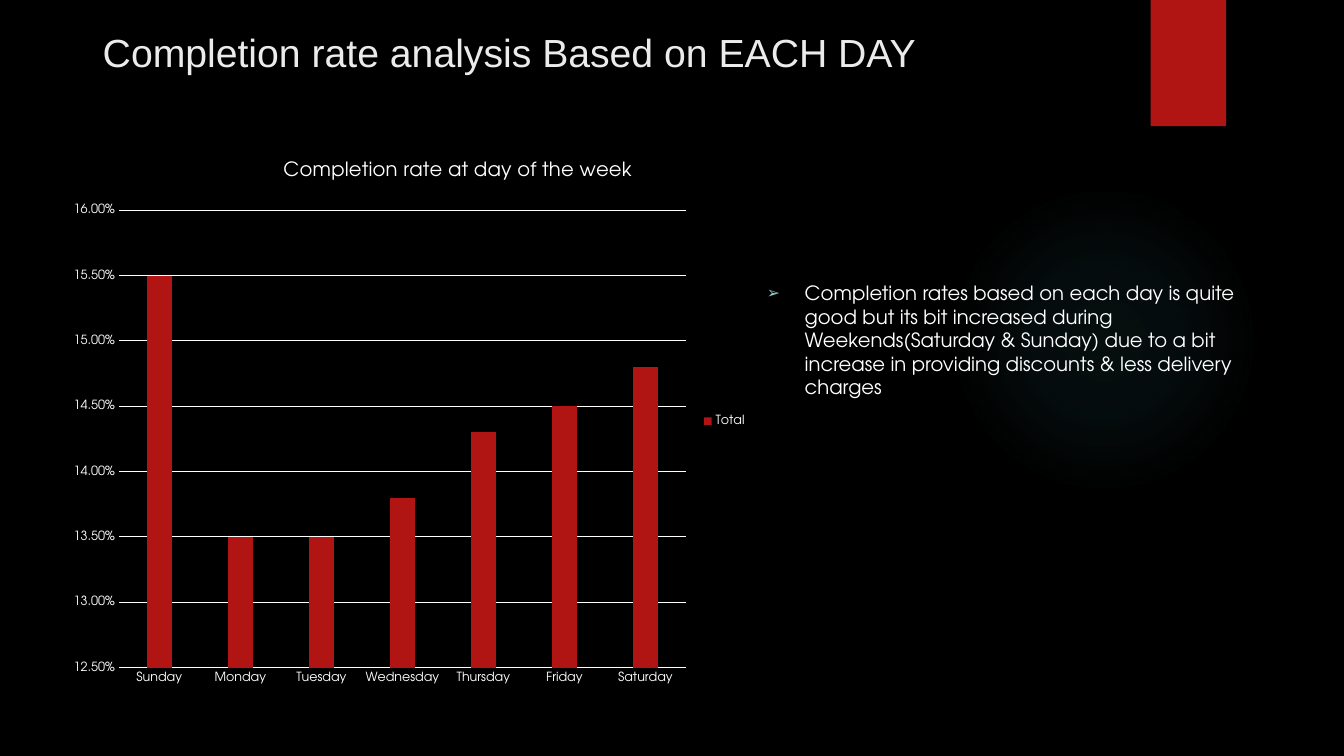
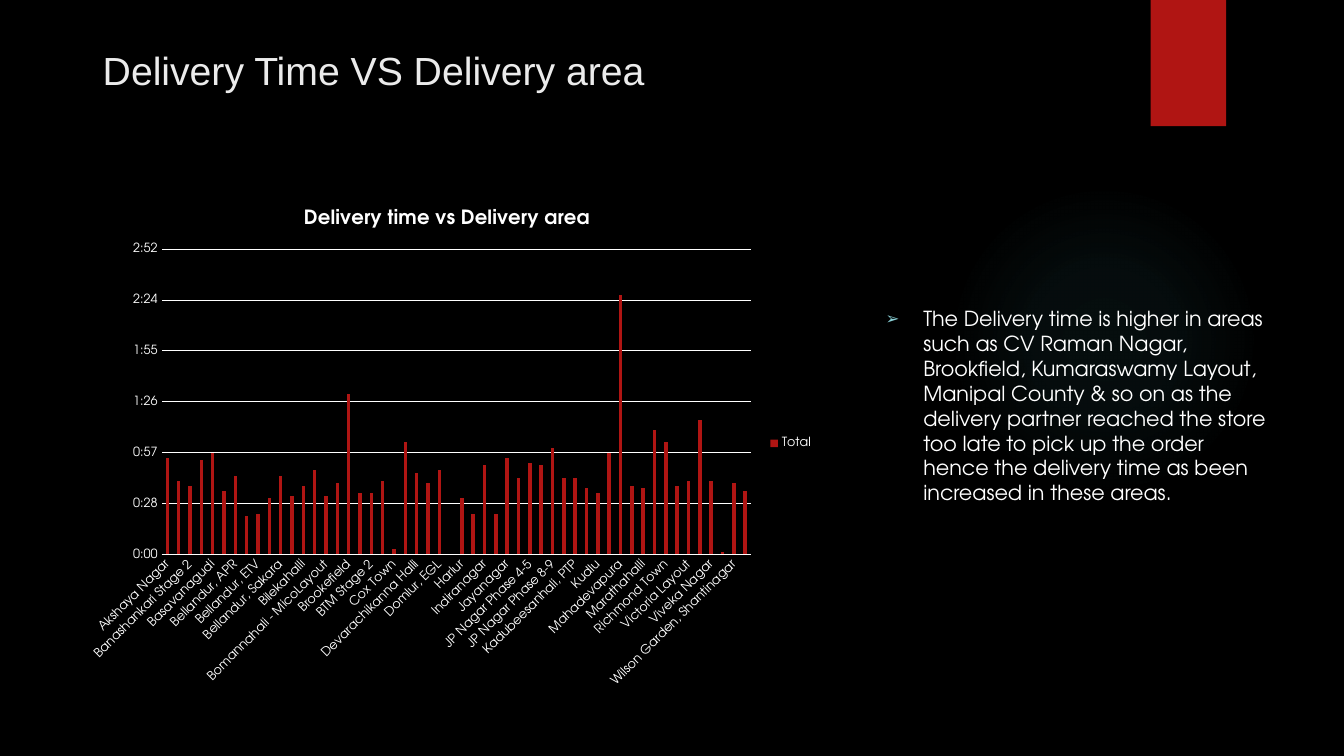
import pptx
import pptx.chart.data
import pptx.dml.color
import pptx.enum.chart
import pptx.enum.shapes
import pptx.enum.text
import pptx.oxml
import pptx.oxml.ns
import pptx.util
from lxml import etree

Cm, Pt = pptx.util.Cm, pptx.util.Pt
qn = pptx.oxml.ns.qn

COLORS = {"back": "000000", "accent": "B01513", "glow": "50B9C1",
          "title": "EBEBEB", "text": "FFFFFF", "bullet": "8AD0D6"}
TITLE_FONT, BODY_FONT = "Arial", "TeX Gyre Adventor"
GLOW_STOPS = [(0, 7), (36, 6), (69, 0)]  # position, opacity in percent

# Content
DAY_RATES = {
    "Sunday": 0.155, "Monday": 0.135, "Tuesday": 0.135, "Wednesday": 0.138,
    "Thursday": 0.143, "Friday": 0.145, "Saturday": 0.148,
}
AREA_TIMES = {
    "Akshaya Nagar": 0.038, "Arekere": 0.029, "Banashankari Stage 2": 0.027,
    "Bannerghatta": 0.037, "Basavanagudi": 0.04,
    "Bellandur - Off Sarjapur Road": 0.025, "Bellandur, APR": 0.031,
    "Bellandur, Ecopark": 0.015, "Bellandur, ETV": 0.016,
    "Bellandur, Green Glen": 0.022, "Bellandur, Sakara": 0.031,
    "Bellandur, Sarjapur Road": 0.023, "Bilekahalli": 0.027,
    "Binnipet": 0.033, "Bomannahali - MicoLayout": 0.023,
    "Bommanahalli": 0.028, "Brookefield": 0.063, "BTM Stage 1": 0.024,
    "BTM Stage 2": 0.024, "Challagatta": 0.029, "Cox Town": 0.002,
    "CV Raman Nagar": 0.044, "Devarachikanna Halli": 0.032,
    "Doddanekundi": 0.028, "Domlur, EGL": 0.033, "Frazer Town": None,
    "Harlur": 0.022, "HSR Layout": 0.016, "Indiranagar": 0.035,
    "ITI Layout": 0.016, "Jayanagar": 0.038, "JP Nagar Phase 1-3": 0.03,
    "JP Nagar Phase 4-5": 0.036, "JP Nagar Phase 6-7": 0.035,
    "JP Nagar Phase 8-9": 0.042, "Kadubeesanhali, Techpark": 0.03,
    "Kadubeesanhali, PTP": 0.03, "Koramangala, Ejipura": 0.026,
    "Kudlu": 0.024, "Kumaraswamy Layout": 0.04, "Mahadevapura": 0.102,
    "Manipal County": 0.027, "Marathahalli": 0.026, "Pattandur": 0.049,
    "Richmond Town": 0.044, "Sarjapur Road": 0.027, "Victoria Layout": 0.029,
    "Vimanapura": 0.053, "Viveka Nagar": 0.029, "Whitefield": 0.001,
    "Wilson Garden, Shantinagar": 0.028, "Yemalur": 0.025,
}
# Boxes are left, top, width, height in cm; plot areas are shares of the chart
SLIDES = [
    {"title": "Completion rate analysis Based on EACH DAY",
     "title_box": (2.34, 0.58, 29.21, 1.47),
     "body": "Completion rates based on each day is quite good but its bit "
             "increased during Weekends(Saturday & Sunday) due to a bit "
             "increase in providing discounts & less delivery charges",
     "body_box": (19.08, 6.96, 13.28, 3.56), "body_size": 14,
     "chart_title": "Completion rate at day of the week", "bold": False,
     "title_at": (0.316, 0.015), "chart_box": (1.5, 3.73, 17.58, 13.77),
     "plot": (0.085, 0.114, 0.813, 0.837), "data": DAY_RATES,
     "scale": (0.125, 0.16, 0.005), "format": "0.00%", "turn": 0},
    {"title": "Delivery Time VS Delivery area",
     "title_box": (2.34, 0.95, 29.21, 1.6),
     "body": "The Delivery time is higher in areas such as CV Raman Nagar, "
             "Brookfield, Kumaraswamy Layout, Manipal County & so on as the "
             "delivery partner reached the store too late to pick up the "
             "order hence the delivery time as been increased in these areas.",
     "body_box": (22.07, 7.59, 10.29, 5.66), "body_size": 14.8,
     "chart_title": "Delivery time vs Delivery area", "bold": True,
     "title_at": (0.299, 0.029), "chart_box": (1.95, 4.77, 18.8, 12.8),
     "plot": (0.113, 0.118, 0.79, 0.601), "data": AREA_TIMES,
     "scale": (0, 0.12, 0.02), "format": "[$-14009]h:mm;@", "turn": -45},
]


def rgb(name):
    return pptx.dml.color.RGBColor.from_string(COLORS[name])


def sub(parent, tag, **attrs):
    return etree.SubElement(parent, qn(tag), attrs)


def style_font(font, size, color="text", name=BODY_FONT, bold=False):
    font.size, font.name, font.bold = Pt(size), name, bold
    font.color.rgb = rgb(color)


def add_decor(s):
    """Faint glow and the red tab at the top."""
    shapes = pptx.enum.shapes.MSO_SHAPE
    for kind, box in ((shapes.OVAL, (23.91, 4.65, 7.82, 7.82)),
                      (shapes.RECTANGLE, (29, 0, 1.9, 3.18))):
        sp = s.shapes.add_shape(kind, *map(Cm, box))
        sp.shadow.inherit = False
        sp.line.fill.background()
        if kind == shapes.RECTANGLE:
            sp.fill.solid()
            sp.fill.fore_color.rgb = rgb("accent")
            continue
        sp.fill.gradient()
        grad = sp.fill._xPr.find(qn("a:gradFill"))
        for child in list(grad):
            grad.remove(child)
        stops = sub(grad, "a:gsLst")
        for pos, alpha in GLOW_STOPS:
            stop = sub(stops, "a:gs", pos=str(pos * 1000))
            color = sub(stop, "a:srgbClr", val=COLORS["glow"])
            sub(color, "a:alpha", val=str(alpha * 1000))
        sub(sub(grad, "a:path", path="circle"), "a:fillToRect",
            l="50000", t="50000", r="50000", b="50000")


def add_text(s, text, box, anchor, size, color, name):
    tf = s.shapes.add_textbox(*map(Cm, box)).text_frame
    tf.word_wrap = True
    tf.vertical_anchor = anchor
    p = tf.paragraphs[0]
    p.text = text
    style_font(p.runs[0].font, size, color, name)
    return p


def add_bullet(p):
    pPr = p._p.get_or_add_pPr()
    pPr.set("marL", str(Cm(0.95)))
    pPr.set("indent", str(-Cm(0.95)))
    sub(sub(pPr, "a:buClr"), "a:srgbClr", val=COLORS["bullet"])
    sub(pPr, "a:buSzPct", val="80000")
    sub(pPr, "a:buFont", typeface=TITLE_FONT)
    sub(pPr, "a:buChar", char="➢")


def place(parent, index, shares, inner=False):
    """Give a chart part a fixed place inside the chart."""
    for old in parent.findall(qn("c:layout")):
        parent.remove(old)
    layout = parent.makeelement(qn("c:layout"))
    parent.insert(index, layout)
    manual = sub(layout, "c:manualLayout")
    if inner:
        sub(manual, "c:layoutTarget", val="inner")
    for tag in ("c:xMode", "c:yMode"):
        sub(manual, tag, val="edge")
    for tag, share in zip(("c:x", "c:y", "c:w", "c:h"), shares):
        sub(manual, tag, val=str(share))


def add_column_chart(s, item):
    enum = pptx.enum.chart
    data = pptx.chart.data.CategoryChartData(number_format=item["format"])
    data.categories = list(item["data"])
    data.add_series("Total", list(item["data"].values()))
    chart = s.shapes.add_chart(enum.XL_CHART_TYPE.COLUMN_CLUSTERED,
                               *map(Cm, item["chart_box"]), data).chart
    style_font(chart.font, 10)

    # Title and legend
    chart.has_title = True
    p = chart.chart_title.text_frame.paragraphs[0]
    p.text = item["chart_title"]
    style_font(p.runs[0].font, 14, bold=item["bold"])
    place(chart.chart_title._element, 1, item["title_at"])
    chart.has_legend = True
    chart.legend.position = enum.XL_LEGEND_POSITION.RIGHT
    chart.legend.include_in_layout = False
    style_font(chart.legend.font, 9)

    # Columns
    plot = chart.plots[0]
    plot.gap_width, plot.overlap, plot.vary_by_categories = 219, -27, False
    fill = plot.series[0].format.fill
    fill.solid()
    fill.fore_color.rgb = rgb("accent")
    place(chart._chartSpace.chart.plotArea, 0, item["plot"], inner=True)

    # Axes
    cat, val = chart.category_axis, chart.value_axis
    for axis in (cat, val):
        axis.major_tick_mark = axis.minor_tick_mark = enum.XL_TICK_MARK.NONE
        style_font(axis.tick_labels.font, 9)
    val.minimum_scale, val.maximum_scale, val.major_unit = item["scale"]
    val.tick_labels.number_format = item["format"]
    val.tick_labels.number_format_is_linked = False
    val.format.line.fill.background()
    val.has_major_gridlines = True
    for line in (cat.format.line, val.major_gridlines.format.line):
        line.width = Pt(0.75)
        line.color.rgb = rgb("text")
    if item["turn"]:
        body = cat._element.find(qn("c:txPr")).find(qn("a:bodyPr"))
        body.set("rot", str(item["turn"] * 60000))
        body.set("vert", "horz")


def main():
    prs = pptx.Presentation()
    prs.slide_width, prs.slide_height = Cm(33.87), Cm(19.05)
    back = prs.slide_master.background.fill
    back.solid()
    back.fore_color.rgb = rgb("back")
    anchors = pptx.enum.text.MSO_ANCHOR
    for item in SLIDES:
        s = prs.slides.add_slide(prs.slide_layouts[6])
        add_decor(s)
        add_text(s, item["title"], item["title_box"], anchors.MIDDLE,
                 28, "title", TITLE_FONT)
        add_bullet(add_text(s, item["body"], item["body_box"], anchors.TOP,
                            item["body_size"], "text", BODY_FONT))
        add_column_chart(s, item)
    prs.save("out.pptx")


if __name__ == "__main__":
    main()
